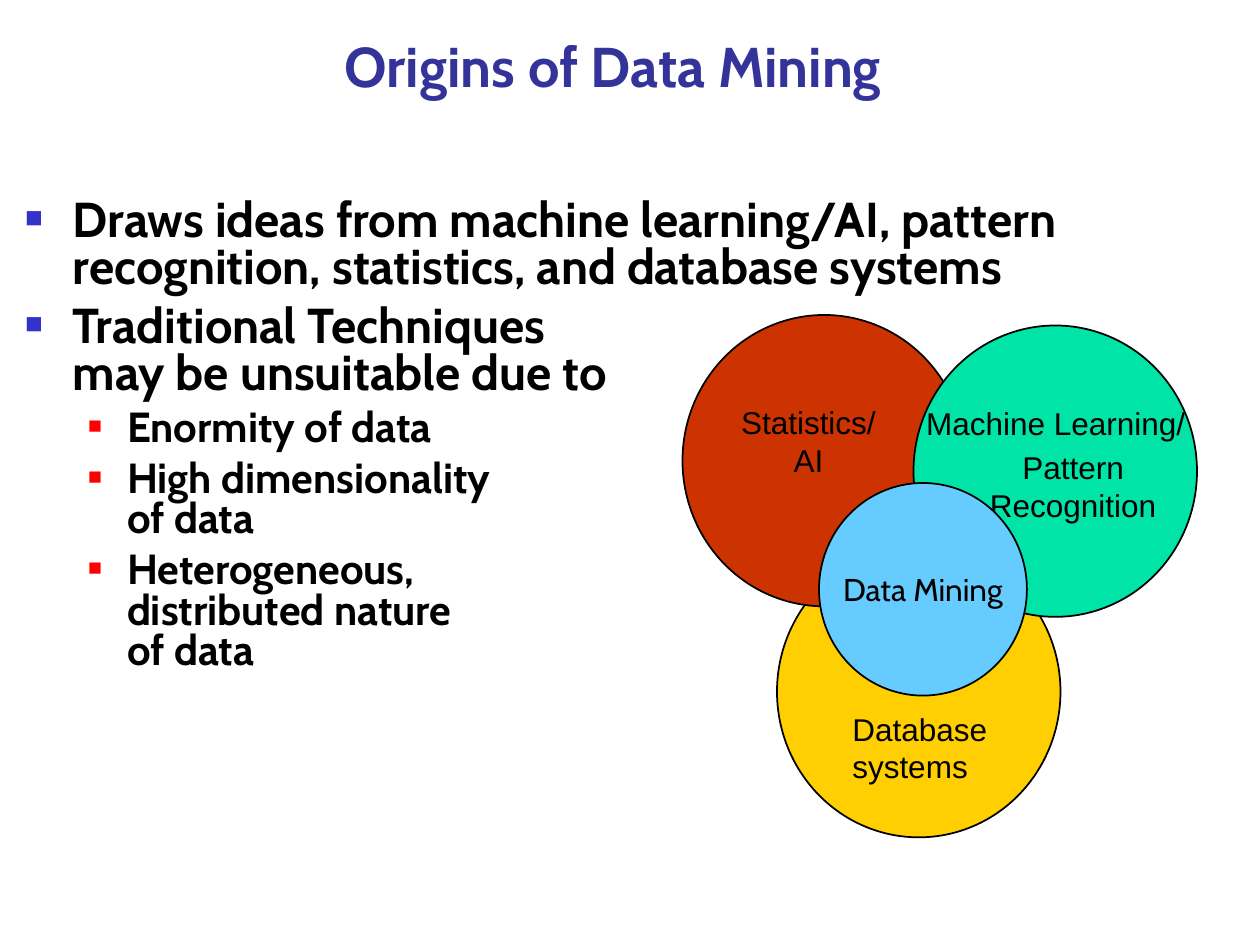
from dataclasses import dataclass

from lxml.etree import SubElement
from pptx import Presentation
from pptx.dml.color import RGBColor as Rgb
from pptx.enum.shapes import MSO_SHAPE as Preset
from pptx.enum.text import MSO_ANCHOR as Anchor, MSO_AUTO_SIZE as Fit, PP_ALIGN as Align
from pptx.oxml.ns import qn
from pptx.util import Inches, Pt


@dataclass(frozen=True)
class Theme:
    heading_font: str = "Cabin"
    label_font: str = "Arial"
    ink: str = "000000"
    title: str = "333399"
    statistics: str = "CC3300"
    learning: str = "00E4A8"
    database: str = "FFCF01"
    mining: str = "66CCFF"
    title_size: int = 32
    label_size: int = 18
    levels: tuple = (
        dict(size=28, bullet="3333CC", scale=60, left=0.38, hang=0.38, before=7),
        dict(size=24, bullet="FF0000", scale=55, left=0.81, hang=0.31, before=6),
    )


class VennSlide:
    """Draws text and circles on a slide with a grid of 120 columns by 90 rows."""

    def __init__(self, deck, theme):
        self.theme = theme
        self.slide = deck.slides.add_slide(deck.slide_layouts[6])
        self.column = deck.slide_width / 120
        self.row = deck.slide_height / 90

    def place(self, left, top, width, height):
        return (round(left * self.column), round(top * self.row),
                round(width * self.column), round(height * self.row))

    def apply(self, target, values):
        for name, value in values.items():
            setattr(target, name, value)

    def fill_text(self, paragraph, text, size, font, color=None, bold=False, **layout):
        paragraph.text = text
        self.apply(paragraph, layout)
        for run in paragraph.runs:
            self.apply(run.font, dict(size=Pt(size), name=font, bold=bold))
            run.font.color.rgb = Rgb.from_string(color or self.theme.ink)

    def box(self, area, **frame_format):
        frame = self.slide.shapes.add_textbox(*self.place(*area)).text_frame
        self.apply(frame, dict(word_wrap=True) | frame_format)
        return frame

    def title(self, text, area):
        frame = self.box(area, vertical_anchor=Anchor.BOTTOM, margin_left=0, margin_right=0)
        self.fill_text(frame.paragraphs[0], text, self.theme.title_size,
                       self.theme.heading_font, self.theme.title, True,
                       alignment=Align.CENTER)

    def bullets(self, points, area):
        frame = self.box(area)
        for index, (level, text) in enumerate(points):
            paragraph = frame.add_paragraph() if index else frame.paragraphs[0]
            style = self.theme.levels[level]
            self.mark(paragraph, style)
            self.fill_text(paragraph, text, style["size"], self.theme.heading_font, bold=True,
                           level=level, line_spacing=0.8,
                           space_before=Pt(style["before"] if index else 0))

    def mark(self, paragraph, style):
        properties = paragraph._p.get_or_add_pPr()
        properties.set("marL", str(Inches(style["left"])))
        properties.set("indent", str(-Inches(style["hang"])))
        color = SubElement(properties, qn("a:buClr"))
        SubElement(color, qn("a:srgbClr"), val=style["bullet"])
        SubElement(properties, qn("a:buSzPct"), val=str(style["scale"] * 1000))
        SubElement(properties, qn("a:buFont"), typeface=self.theme.label_font)
        SubElement(properties, qn("a:buChar"), char="■")

    def circle(self, area, fill, text=None):
        circle = self.slide.shapes.add_shape(Preset.OVAL, *self.place(*area))
        circle.shadow.inherit = False
        circle.fill.solid()
        circle.fill.fore_color.rgb = Rgb.from_string(fill)
        circle.line.color.rgb = Rgb.from_string(self.theme.ink)
        circle.line.width = Pt(1)
        if text:
            self.apply(circle.text_frame, dict(word_wrap=False, vertical_anchor=Anchor.MIDDLE))
            self.fill_text(circle.text_frame.paragraphs[0], text, self.theme.label_size,
                           self.theme.heading_font, alignment=Align.CENTER)

    def label(self, lines, area, **frame_format):
        frame = self.box(area, auto_size=Fit.SHAPE_TO_FIT_TEXT, **frame_format)
        for index, (text, alignment) in enumerate(lines):
            paragraph = frame.add_paragraph() if index else frame.paragraphs[0]
            self.fill_text(paragraph, text, self.theme.label_size, self.theme.label_font,
                           alignment=alignment, space_before=Pt(3.4 if index else 0))


def main():
    deck = Presentation()
    deck.slide_width, deck.slide_height = Inches(10), Inches(7.5)
    theme = Theme()
    venn = VennSlide(deck, theme)
    field = (27, 27.75)

    venn.bullets([
        (0, "Draws ideas from machine learning/AI, pattern recognition, "
            "statistics, and database systems"),
        (0, "Traditional Techniques\nmay be unsuitable due to"),
        (1, "Enormity of data"),
        (1, "High dimensionality\nof data"),
        (1, "Heterogeneous,\ndistributed nature\nof data"),
    ], (1.2, 18.4, 116, 71.6))
    venn.circle((74, 52, *field), theme.database)
    venn.circle((65, 30, *field), theme.statistics)
    venn.title("Origins of Data Mining", (4, 3, 108.75, 7))
    venn.circle((87, 31, *field), theme.learning)
    venn.label([("Machine Learning/", Align.LEFT), ("Pattern\nRecognition", Align.CENTER)],
               (88.2, 37.9, 28, 12.6), margin_left=0, margin_right=0)
    venn.label([("Statistics/\nAI", Align.CENTER)], (68, 37.8, 18, 8.4))
    venn.circle((78, 46, 19.8, 20.25), theme.mining, "Data Mining")
    venn.label([("Database systems", Align.LEFT)], (80, 67, 19, 8.4))
    deck.save("out.pptx")


if __name__ == "__main__":
    main()
